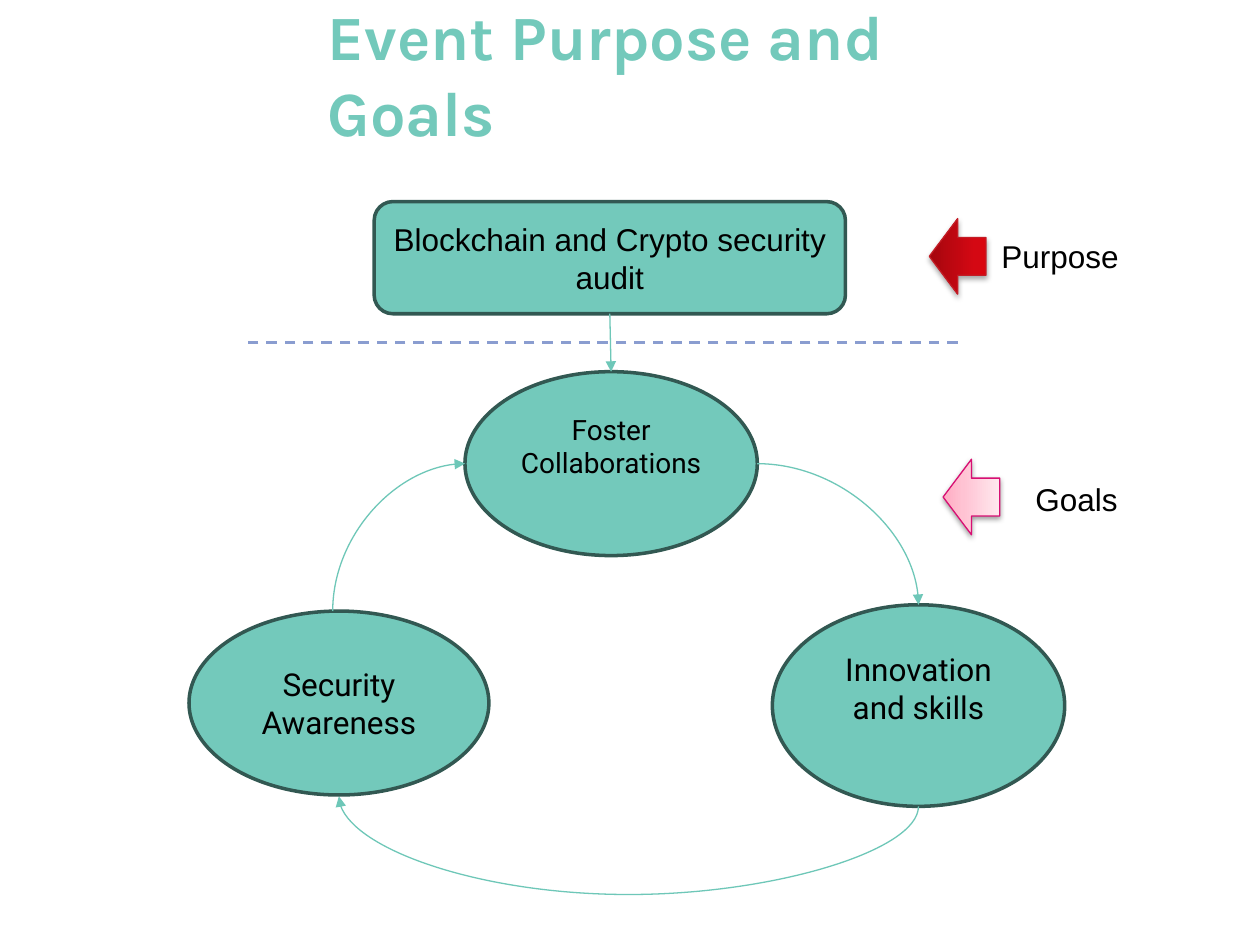
import pptx
import pptx.util
import pptx.dml.color
import pptx.enum.dml
import pptx.enum.shapes
import pptx.enum.text
import pptx.oxml
import pptx.oxml.ns

Inches = pptx.util.Inches
Pt = pptx.util.Pt
RGBColor = pptx.dml.color.RGBColor
MSO = pptx.enum.shapes.MSO_SHAPE
CONNECTOR = pptx.enum.shapes.MSO_CONNECTOR
ALIGN = pptx.enum.text.PP_ALIGN
ANCHOR = pptx.enum.text.MSO_ANCHOR
qn = pptx.oxml.ns.qn
NS = pptx.oxml.ns.nsdecls("a")

TEAL = RGBColor(0x73, 0xC9, 0xBB)
DARK_TEAL = RGBColor(0x32, 0x58, 0x52)
ARROW_TEAL = RGBColor(0x6E, 0xC7, 0xB8)
DASH_BLUE = RGBColor(0x8A, 0x9D, 0xD0)
RED = RGBColor(0xC3, 0x1C, 0x25)
PINK = RGBColor(0xD8, 0x0F, 0x73)
BLACK = RGBColor(0, 0, 0)


def add_text(tf, text, size, font, color=BLACK, align=ALIGN.LEFT):
    p = tf.paragraphs[0]
    p.alignment = align
    r = p.add_run()
    r.text = text
    r.font.size = Pt(size)
    r.font.name = font
    r.font.color.rgb = color
    return p, r


def add_line(kind, x1, y1, x2, y2, color, width, arrow=True):
    cn = slide.shapes.add_connector(kind, Inches(x1), Inches(y1), Inches(x2), Inches(y2))
    cn.line.color.rgb = color
    cn.line.width = Pt(width)
    if arrow:
        cn.line._get_or_add_ln().append(pptx.oxml.parse_xml(f'<a:tailEnd {NS} type="triangle"/>'))
    cn._element.spPr.append(pptx.oxml.parse_xml(f"<a:effectLst {NS}/>"))
    return cn


prs = pptx.Presentation()
prs.slide_width = Inches(10)
prs.slide_height = Inches(7.5)
slide = prs.slides.add_slide(prs.slide_layouts[5])

title = slide.shapes.title
title.left, title.top, title.width, title.height = [Inches(v) for v in (2.3, 0.02, 5.78, 1.12)]
tf = title.text_frame
tf.word_wrap = True
tf.auto_size = pptx.enum.text.MSO_AUTO_SIZE.NONE
tf.vertical_anchor = ANCHOR.MIDDLE
p, r = add_text(tf, "Event Purpose and Goals", 36, "Karla", TEAL)
p._p.get_or_add_pPr().set("marL", str(Inches(0.2)))
r.font.bold = True

nodes = []
for kind, x, y, w, h, text, size, font, bottom in [
    (MSO.ROUNDED_RECTANGLE, 2.97, 1.6, 3.74, 0.89, "Blockchain and Crypto security audit", 18, "Arial", 0.05),
    (MSO.OVAL, 3.69, 2.95, 2.32, 1.46, "Foster Collaborations", 16, "Roboto", 0.33),
    (MSO.OVAL, 6.13, 4.8, 2.32, 1.6, "Innovation and skills", 18, "Roboto", 0.33),
    (MSO.OVAL, 1.5, 4.85, 2.38, 1.46, "Security Awareness", 18, "Roboto", 0.05),
]:
    sp = slide.shapes.add_shape(kind, Inches(x), Inches(y), Inches(w), Inches(h))
    sp.shadow.inherit = False
    sp.fill.solid()
    sp.fill.fore_color.rgb = TEAL
    sp.line.color.rgb = DARK_TEAL
    sp.line.width = Pt(2)
    tf = sp.text_frame
    tf.word_wrap = True
    tf.vertical_anchor = ANCHOR.MIDDLE
    tf.margin_bottom = Inches(bottom)
    add_text(tf, text, size, font, align=ALIGN.CENTER)
    nodes.append(sp)
purpose, collaborations = nodes[:2]

for x, y, w, h, turn, flips, preset, adjust in [
    (6.01, 3.68, 1.28, 1.12, 0, "", "curvedConnector2", None),
    (2.58, 3.74, 1.17, 1.05, 90, "HV", "curvedConnector2", None),
    (4.95, 4.06, 0.08, 4.6, 90, "H", "curvedConnector3", -875000),
]:
    cn = add_line(CONNECTOR.CURVE, x, y, x + w, y + h, ARROW_TEAL, 0.75)
    xfrm = cn._element.spPr.find(qn("a:xfrm"))
    xfrm.set("rot", str(turn * 60000))
    for flip in flips:
        xfrm.set("flip" + flip, "1")
    geom = cn._element.spPr.find(qn("a:prstGeom"))
    geom.set("prst", preset)
    if adjust is not None:
        geom.find(qn("a:avLst")).append(
            pptx.oxml.parse_xml(f'<a:gd {NS} name="adj1" fmla="val {adjust}"/>'))

cn = add_line(CONNECTOR.STRAIGHT, 4.84, 2.49, 4.85, 2.95, ARROW_TEAL, 0.75)
cn.begin_connect(purpose, 2)
cn.end_connect(collaborations, 0)
divider = add_line(CONNECTOR.STRAIGHT, 7.6, 2.72, 1.91, 2.72, DASH_BLUE, 1.5, arrow=False)
divider.line.dash_style = pptx.enum.dml.MSO_LINE.DASH

for text, x, y, w in [("Purpose", 7.85, 1.83, 1.14), ("Goals", 8.12, 3.76, 0.86)]:
    tb = slide.shapes.add_textbox(Inches(x), Inches(y), Inches(w), Inches(0.4))
    tb.text_frame.word_wrap = False
    tb.text_frame.auto_size = pptx.enum.text.MSO_AUTO_SIZE.SHAPE_TO_FIT_TEXT
    add_text(tb.text_frame, text, 18, "Arial")

for x, y, stops, line, alpha, dist in [
    (7.3, 1.81, [(0, "A4060E"), (80, "D40813"), (100, "D9050F")], RED, 35, 1.8),
    (7.41, 3.72, [(0, "FFAAC2"), (35, "FFC3D3"), (100, "FFE8EE")], PINK, 38, 1.6),
]:
    sp = slide.shapes.add_shape(MSO.DOWN_ARROW, Inches(x), Inches(y), Inches(0.6), Inches(0.45))
    sp.rotation = 90
    sp.line.color.rgb = line
    sp.line.width = Pt(0.75)
    gs = "".join(f'<a:gs pos="{pos * 1000}"><a:srgbClr val="{c}"/></a:gs>' for pos, c in stops)
    spPr = sp._element.spPr
    spPr.find(qn("a:prstGeom")).addnext(pptx.oxml.parse_xml(
        f'<a:gradFill {NS} rotWithShape="1"><a:gsLst>{gs}</a:gsLst>'
        '<a:lin ang="16200000" scaled="0"/></a:gradFill>'))
    spPr.append(pptx.oxml.parse_xml(
        f'<a:effectLst {NS}><a:outerShdw blurRad="{Pt(3.1)}" dist="{Pt(dist)}" dir="5400000" '
        f'rotWithShape="0"><a:srgbClr val="000000"><a:alpha val="{alpha * 1000}"/></a:srgbClr>'
        '</a:outerShdw></a:effectLst>'))

prs.save("out.pptx")
